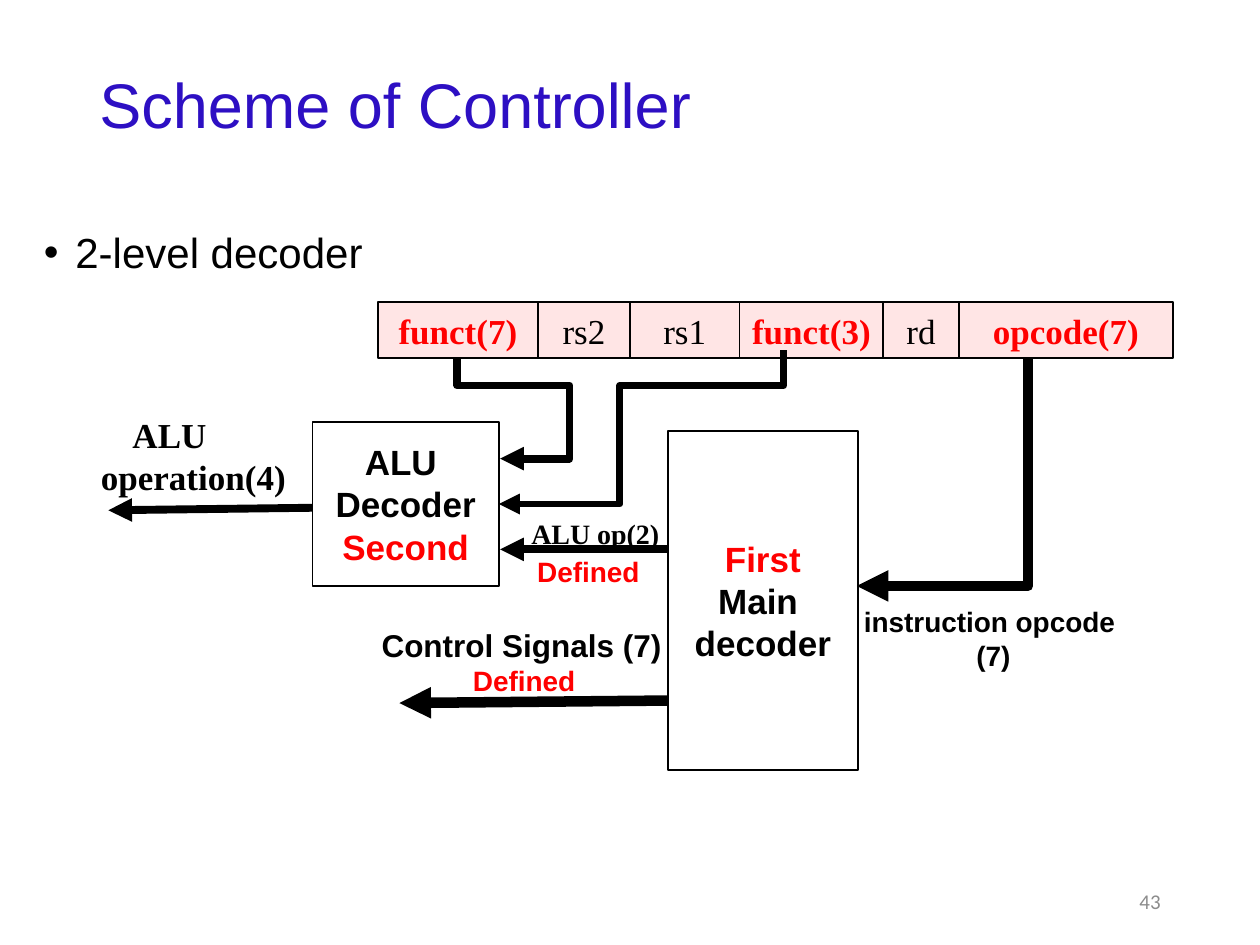
import dataclasses
import itertools

import pptx
import pptx.dml.color
import pptx.enum.shapes
import pptx.enum.text
import pptx.oxml
import pptx.oxml.ns
import pptx.util

Inches = pptx.util.Inches
Pt = pptx.util.Pt
Align = pptx.enum.text.PP_ALIGN
Anchor = pptx.enum.text.MSO_ANCHOR
RECT = pptx.enum.shapes.MSO_SHAPE.RECTANGLE
LINE = pptx.enum.shapes.MSO_CONNECTOR.STRAIGHT


@dataclasses.dataclass(frozen=True)
class Theme:
    """Colours, fonts and type sizes of the slide."""
    ink: str = "000000"
    red: str = "FF0000"
    blue: str = "2D0FC3"
    pink: str = "FFE5E5"
    gray: str = "8C8C8C"
    sans: str = "Arial"
    serif: str = "Times New Roman"
    foot: str = "Calibri"
    title: int = 36
    body: int = 24
    block: int = 20
    signal: int = 18
    label: int = 16
    page: int = 12


THEME = Theme()


def color(code):
    """Return the RGB colour for a hex code."""
    return pptx.dml.color.RGBColor.from_string(code)


def append(parent, tag, **attrs):
    """Append a DrawingML element with the given attributes."""
    node = pptx.oxml.parse_xml(f"<a:{tag} {pptx.oxml.ns.nsdecls('a')}/>")
    for key, value in attrs.items():
        node.set(key, value)
    parent.append(node)


def place(box, left, top, width, height):
    """Return slide lengths for a part placed relative to a box."""
    return [Inches(n) for n in (box[0] + left, box[1] + top, width, height)]


def write(frame, lines, size, face=THEME.sans, bold=False, align=Align.CENTER,
          anchor=Anchor.TOP, wrap=True, hang=0, bullet=None, space=None):
    """Fill a text frame with (text, colour) lines."""
    frame.word_wrap = wrap
    frame.vertical_anchor = anchor
    for index, (text, code) in enumerate(lines):
        para = frame.add_paragraph() if index else frame.paragraphs[0]
        para.text = text
        para.alignment = align
        para.line_spacing = space
        props = para._p.get_or_add_pPr()
        if hang:
            props.set("marL", str(Inches(hang)))
            props.set("indent", str(-Inches(hang)))
        if bullet:
            append(props, "buFont", typeface=THEME.sans)
            append(props, "buChar", char=bullet)
        para.font.size = Pt(size)
        para.font.name = face
        para.font.bold = bold
        para.font.color.rgb = color(code)


def panel(slide, spot, fill=None):
    """Add a thin-lined rectangle and return its text frame."""
    shape = slide.shapes.add_shape(RECT, *spot)
    shape.shadow.inherit = False
    if fill:
        shape.fill.solid()
        shape.fill.fore_color.rgb = color(fill)
    else:
        shape.fill.background()
    shape.line.color.rgb = color(THEME.ink)
    shape.line.width = Pt(1)
    return shape.text_frame


def arrow(shape, width):
    """Style a line or path as a black arrow."""
    shape.line.color.rgb = color(THEME.ink)
    shape.line.width = Pt(width)
    append(shape.line._get_or_add_ln(), "tailEnd", type="triangle")


def route(slide, box, points, width):
    """Draw a bent arrow through points relative to the box."""
    spots = [(Inches(box[0] + x), Inches(box[1] + y)) for x, y in points]
    maker = slide.shapes.build_freeform(*spots[0])
    maker.add_line_segments(spots[1:], close=False)
    shape = maker.convert_to_shape()
    shape.shadow.inherit = False
    shape.fill.background()
    arrow(shape, width)


def heading(slide, box):
    """Place the title and the bullet below it."""
    title = slide.shapes.add_textbox(*place(box, 0.44, 0, 8.62, 0.91))
    write(title.text_frame, [("Scheme of Controller", THEME.blue)], THEME.title,
          align=Align.LEFT, anchor=Anchor.MIDDLE, space=0.9)
    body = slide.shapes.add_textbox(*place(box, 0, 1.39, 6.75, 0.46))
    write(body.text_frame, [("2-level decoder", THEME.ink)], THEME.body,
          align=Align.LEFT, hang=0.25, bullet="•", space=0.9)


def blocks(slide, box):
    """Place the two decoder blocks."""
    main = [("First", THEME.red), ("Main ", THEME.ink), ("decoder", THEME.ink)]
    second = [("ALU ", THEME.ink), ("Decoder", THEME.ink), ("Second", THEME.red)]
    for spot, lines in (((5.05, 1.02, 1.51, 2.69), main),
                        ((2.23, 0.95, 1.48, 1.3), second)):
        write(panel(slide, place(box, *spot)), lines, THEME.block, bold=True,
              anchor=Anchor.MIDDLE, wrap=False, hang=0.38)


def fields(slide, box):
    """Place the instruction fields side by side."""
    cells = [("funct(7)", 1.27), ("rs2", 0.73), ("rs1", 0.87),
             ("funct(3)", 1.14), ("rd", 0.6), ("opcode(7)", 1.7)]
    edges = itertools.accumulate((width for _, width in cells), initial=0)
    for (name, width), left in zip(cells, edges):
        used = "(" in name
        frame = panel(slide, place(box, left, 0, width, box[3]), THEME.pink)
        write(frame, [(name, THEME.red if used else THEME.ink)], THEME.block,
              THEME.serif, bold=used, anchor=Anchor.MIDDLE)


def outputs(slide, box):
    """Draw the straight arrows leaving the decoders."""
    for x, y, end, drop, width in ((5.05, 1.96, 3.72, 1.96, 4.5),
                                   (5.05, 3.16, 2.92, 3.18, 6),
                                   (2.23, 1.63, 0.61, 1.65, 4.5)):
        line = slide.shapes.add_connector(LINE, *place(box, x, y, box[0] + end, box[1] + drop))
        arrow(line, width)
        append(line._element.spPr, "effectLst")


def labels(slide, box):
    """Place the signal names beside their arrows."""
    ink, red, sans, serif = THEME.ink, THEME.red, THEME.sans, THEME.serif
    small = THEME.label
    notes = [
        ((2.3, 2.49, 3.11, 0.46), [(" Control Signals (7)", ink)], THEME.signal, sans, True),
        ((0, 0.83, 2.19, 0.77), [("ALU operation(4)", ink)], THEME.block, serif, True),
        ((3.86, 1.65, 1.23, 0.37), [("ALU op(2)", ink)], small, serif, False),
        ((3.91, 1.95, 1.02, 0.37), [("Defined", red)], small, sans, False),
        ((3.4, 2.82, 1.02, 0.37), [("Defined", red)], small, sans, False),
        ((6.5, 2.35, 2.27, 0.64), [("instruction opcode ", ink), ("(7)", ink)],
         small, sans, True),
    ]
    for spot, lines, size, face, wrap in notes:
        note = slide.shapes.add_textbox(*place(box, *spot))
        anchor = Anchor.MIDDLE if size == THEME.signal else Anchor.TOP
        write(note.text_frame, lines, size, face, True, anchor=anchor, wrap=wrap, hang=0.38)


def diagram(slide, box):
    """Place the controller scheme."""
    blocks(slide, box)
    outputs(slide, box)
    route(slide, box, [(3.38, 0.3), (3.38, 0.66), (4.27, 0.66), (4.27, 1.24), (3.72, 1.24)], 4.5)
    route(slide, box, [(7.91, 0.36), (7.91, 2.25), (6.55, 2.25)], 6)
    fields(slide, (box[0] + 2.75, box[1], 6.31, 0.44))
    labels(slide, box)
    route(slide, box, [(5.97, 0.38), (5.97, 0.66), (4.67, 0.66), (4.67, 1.6), (3.71, 1.6)], 4)


def footer(slide, box):
    """Place the slide number."""
    page = slide.shapes.add_textbox(*place(box, 0, 0, *box[2:]))
    write(page.text_frame, [("43", THEME.gray)], THEME.page, THEME.foot,
          align=Align.RIGHT, anchor=Anchor.MIDDLE)


def main():
    """Build and save the slide."""
    deck = pptx.Presentation()
    deck.slide_width, deck.slide_height = Inches(10), Inches(7.5)
    slide = deck.slides.add_slide(deck.slide_layouts[6])
    heading(slide, (0.25, 0.4, 9.06, 1.85))
    diagram(slide, (0.25, 2.4, 9.06, 3.71))
    footer(slide, (7.06, 6.95, 2.25, 0.4))
    deck.save("out.pptx")


if __name__ == "__main__":
    main()
